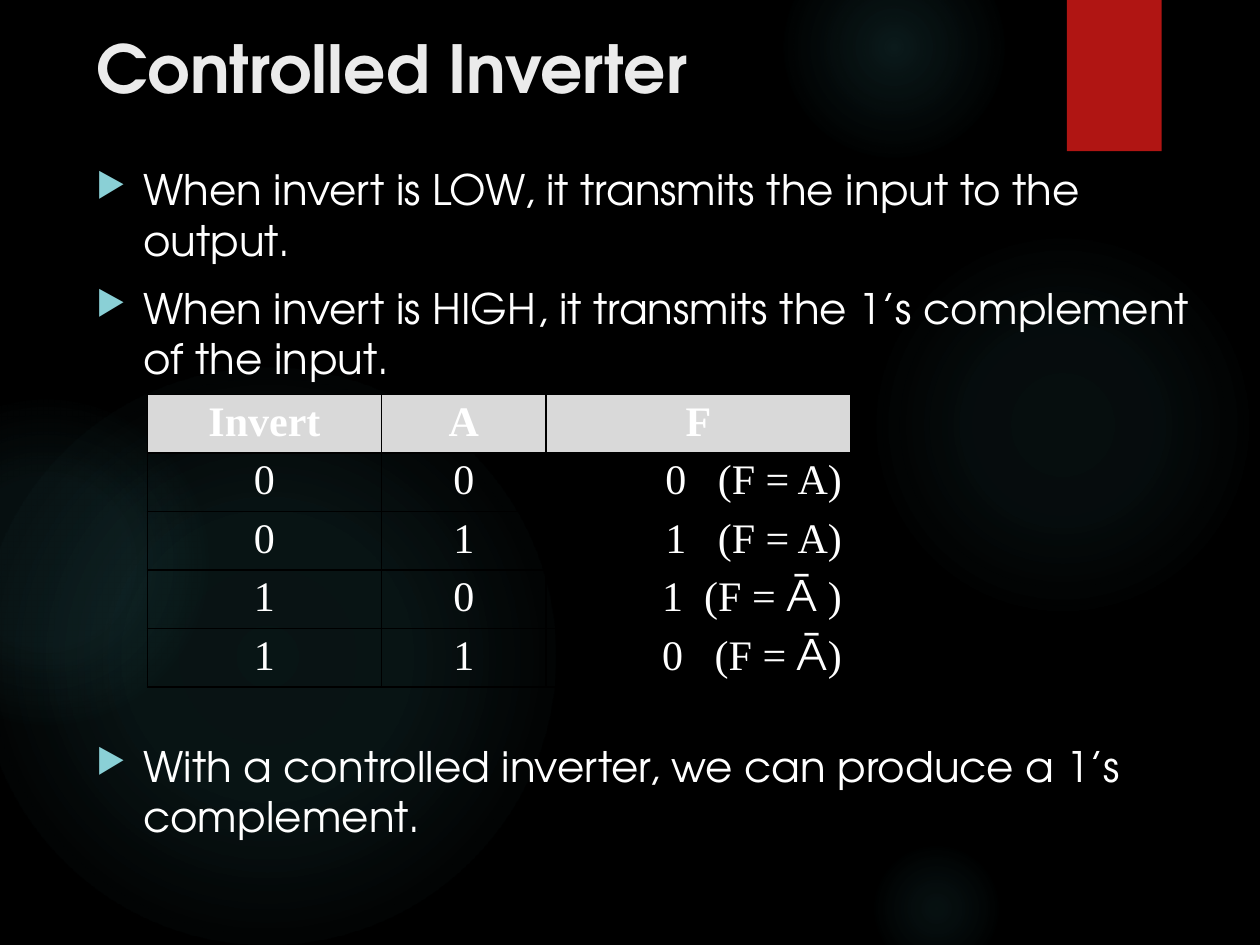
from lxml.etree import SubElement
from pptx import Presentation
from pptx.dml.color import RGBColor
from pptx.enum.shapes import MSO_SHAPE
from pptx.enum.text import MSO_ANCHOR, PP_ALIGN
from pptx.oxml import parse_xml
from pptx.oxml.ns import nsdecls, qn
from pptx.util import Cm, Pt

BLACK = RGBColor(0x00, 0x00, 0x00)
WHITE = RGBColor(0xFF, 0xFF, 0xFF)
TITLE_GREY = RGBColor(0xEB, 0xEB, 0xEB)
HEADER_GREY = RGBColor(0xD9, 0xD9, 0xD9)
RED = RGBColor(0xB0, 0x15, 0x13)
GLOW_TEAL = RGBColor(0x50, 0xB9, 0xC1)
BULLET_TEAL = RGBColor(0x8A, 0xD0, 0xD6)
SANS = "TeX Gyre Adventor"
SERIF = "Times New Roman"

GLOWS = [
    (17.5, 4.65, 7.82, [(0, 7), (36, 6), (69, 0)]),
    (15.8, -1.27, 4.45, [(0, 14), (36, 7), (73, 0)]),
    (17.5, 16.94, 2.74, [(0, 9), (36, 5), (66, 0)]),
    (-0.43, 7.42, 11.63, [(0, 11), (36, 10), (75, 0)]),
    (-2.34, 8.05, 6.55, [(0, 8), (36, 8), (72, 0)]),
]
BULLETS = [
    ("When invert is LOW, it transmits the input to the output.", 10),
    ("When invert is HIGH, it transmits the 1’s complement of the input.", 10),
    ("With a controlled inverter, we can produce a 1’s complement.", 204),
]
HEADINGS = ["Invert", "A", "F"]
TRUTH_ROWS = [
    ("0", "0", "0", 12, ["(F = A)"]),
    ("0", "1", "1", 12, ["(F = A)"]),
    ("1", "0", "1", 6, ["(F = ", "Ā", " )"]),
    ("1", "1", "0", 12, ["(F = ", "Ā", ")"]),
]


def style_run(run, font, size, color, bold=False):
    """Apply typeface, size, colour and weight to a run."""
    run.font.name = font
    run.font.size = Pt(size)
    run.font.color.rgb = color
    run.font.bold = bold


def add_glow(slide, left, top, diameter, stops):
    """Add a circle that fades outwards; stops are (position, opacity) percents."""
    glow = slide.shapes.add_shape(
        MSO_SHAPE.OVAL, Cm(left), Cm(top), Cm(diameter), Cm(diameter))
    glow.shadow.inherit = False
    glow.line.fill.background()
    stop_xml = "".join(
        f'<a:gs pos="{position * 1000}"><a:srgbClr val="{GLOW_TEAL}">'
        f'<a:alpha val="{opacity * 1000}"/></a:srgbClr></a:gs>'
        for position, opacity in stops)
    gradient = parse_xml(
        f'<a:gradFill {nsdecls("a")} rotWithShape="1"><a:gsLst>{stop_xml}</a:gsLst>'
        '<a:path path="circle"><a:fillToRect l="50000" t="50000" r="50000" b="50000"/>'
        '</a:path></a:gradFill>')
    glow._element.spPr.find(qn("a:prstGeom")).addnext(gradient)


def add_red_tab(slide):
    """Add the red tab hanging from the top edge."""
    tab = slide.shapes.add_shape(
        MSO_SHAPE.RECTANGLE, Cm(21.51), Cm(0), Cm(1.91), Cm(3.05))
    tab.shadow.inherit = False
    tab.fill.solid()
    tab.fill.fore_color.rgb = RED
    tab.line.fill.background()


def add_text_frame(slide, left, top, width, height):
    """Add a wrapping text box and return its text frame."""
    frame = slide.shapes.add_textbox(
        Cm(left), Cm(top), Cm(width), Cm(height)).text_frame
    frame.word_wrap = True
    frame.vertical_anchor = MSO_ANCHOR.TOP
    return frame


def add_title(slide, wording):
    """Add the slide title."""
    title = add_text_frame(slide, 1.69, 0.42, 20.96, 2.12)
    title.text = wording
    style_run(title.paragraphs[0].runs[0], SANS, 37.8, TITLE_GREY, bold=True)


def add_bullets(slide, bullets):
    """Add the bulleted statements, each with its space before in points."""
    body = add_text_frame(slide, 1.69, 3.18, 23.07, 15.45)
    for index, (wording, space_before) in enumerate(bullets):
        statement = body.add_paragraph() if index else body.paragraphs[0]
        statement.text = wording
        statement.space_before = Pt(space_before)
        style_run(statement.runs[0], SANS, 24, WHITE)
        properties = statement._p.get_or_add_pPr()
        properties.set("marL", str(Cm(0.95)))
        properties.set("indent", str(-Cm(0.95)))
        bullet_color = SubElement(properties, qn("a:buClr"))
        SubElement(bullet_color, qn("a:srgbClr"), val=str(BULLET_TEAL))
        SubElement(properties, qn("a:buSzPct"), val="80000")
        SubElement(properties, qn("a:buChar"), char="▶")


def set_borders(cell):
    """Draw a thin black line on all four sides of a cell."""
    properties = cell._tc.get_or_add_tcPr()
    for index, side in enumerate(("lnL", "lnR", "lnT", "lnB")):
        properties.insert(index, parse_xml(
            f'<a:{side} {nsdecls("a")} w="{Pt(1)}"><a:solidFill>'
            f'<a:srgbClr val="{BLACK}"/></a:solidFill></a:{side}>'))


def format_cell(cell, alignment):
    """Set margins, borders and paragraph layout, and return the paragraph."""
    cell.margin_left = cell.margin_right = Cm(0.18)
    cell.margin_top = cell.margin_bottom = Cm(0)
    cell.fill.background()
    set_borders(cell)
    paragraph = cell.text_frame.paragraphs[0]
    paragraph.alignment = alignment
    paragraph.line_spacing = 1.1
    return paragraph


def fill_cell(cell, wording, bold=False):
    """Write one centred value into a cell."""
    value = format_cell(cell, PP_ALIGN.CENTER)
    value.text = wording
    style_run(value.runs[0], SERIF, 24, WHITE, bold)


def fill_output_cell(cell, output, gap, formula):
    """Write an output and its formula, with a space widened by gap points."""
    result = format_cell(cell, PP_ALIGN.RIGHT)
    for part in [output, " ", *formula]:
        run = result.add_run()
        run.text = part
        style_run(run, SANS if part == "Ā" else SERIF, 24, WHITE)
    result.runs[1].font._element.set("spc", str(gap * 100))


def add_truth_table(slide):
    """Add the truth table of the controlled inverter."""
    row_count = len(TRUTH_ROWS) + 1
    table = slide.shapes.add_table(
        row_count, len(HEADINGS), Cm(2.97), Cm(7.95),
        Cm(14.18), Cm(1.18 * row_count)).table
    table.horz_banding = False
    for column, width in zip(table.columns, (4.72, 3.32, 6.14)):
        column.width = Cm(width)
    for column, heading in enumerate(HEADINGS):
        header = table.cell(0, column)
        fill_cell(header, heading, bold=True)
        header.fill.solid()
        header.fill.fore_color.rgb = HEADER_GREY
    for row, (invert, a, output, gap, formula) in enumerate(TRUTH_ROWS, start=1):
        fill_cell(table.cell(row, 0), invert)
        fill_cell(table.cell(row, 1), a)
        fill_output_cell(table.cell(row, 2), output, gap, formula)


def main():
    """Build and save the slide."""
    presentation = Presentation()
    presentation.slide_width = Cm(25.4)
    presentation.slide_height = Cm(19.05)
    slide = presentation.slides.add_slide(presentation.slide_layouts[6])
    slide.background.fill.solid()
    slide.background.fill.fore_color.rgb = BLACK
    for glow in GLOWS:
        add_glow(slide, *glow)
    add_red_tab(slide)
    add_title(slide, "Controlled Inverter")
    add_bullets(slide, BULLETS)
    add_truth_table(slide)
    presentation.save("out.pptx")


if __name__ == "__main__":
    main()
